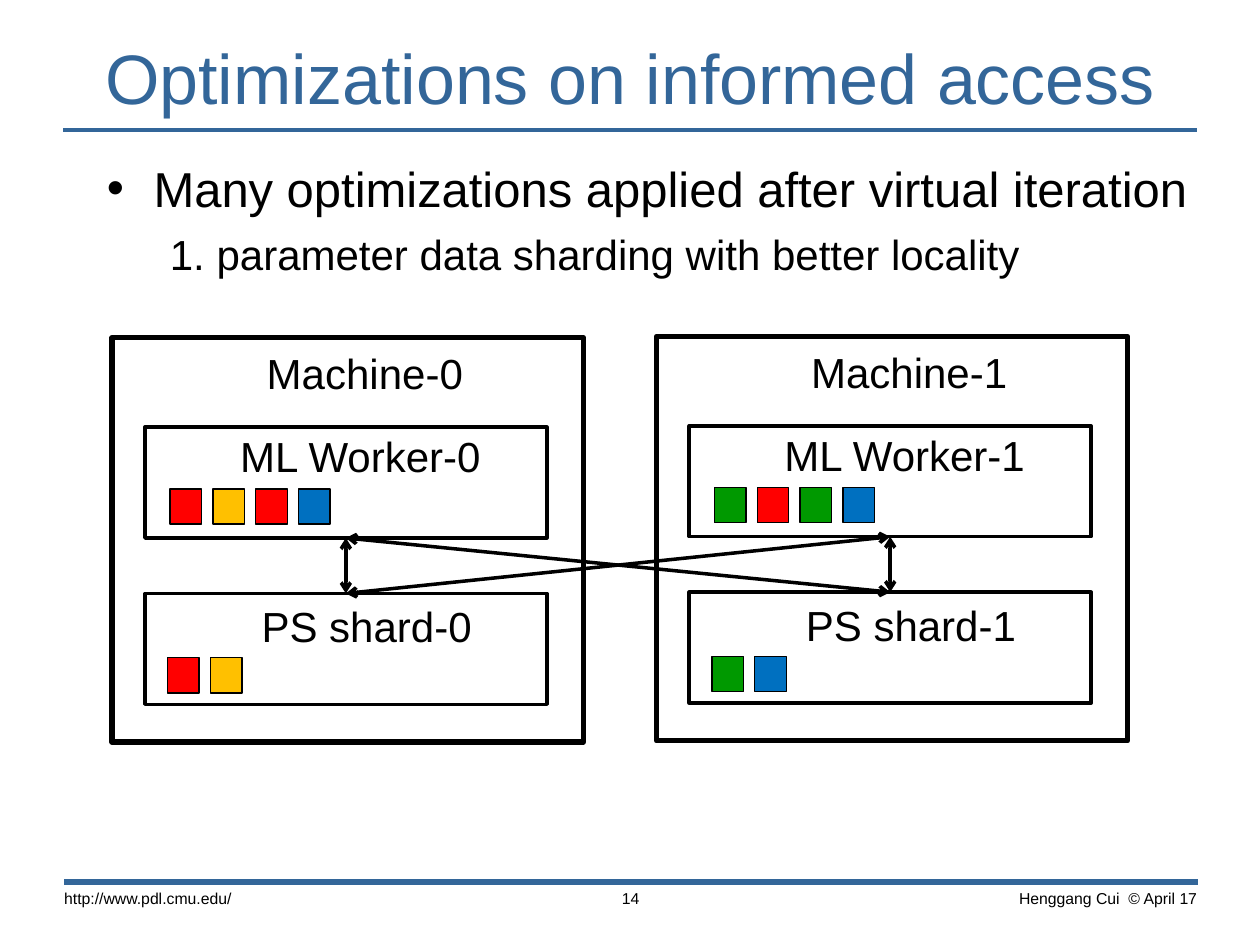
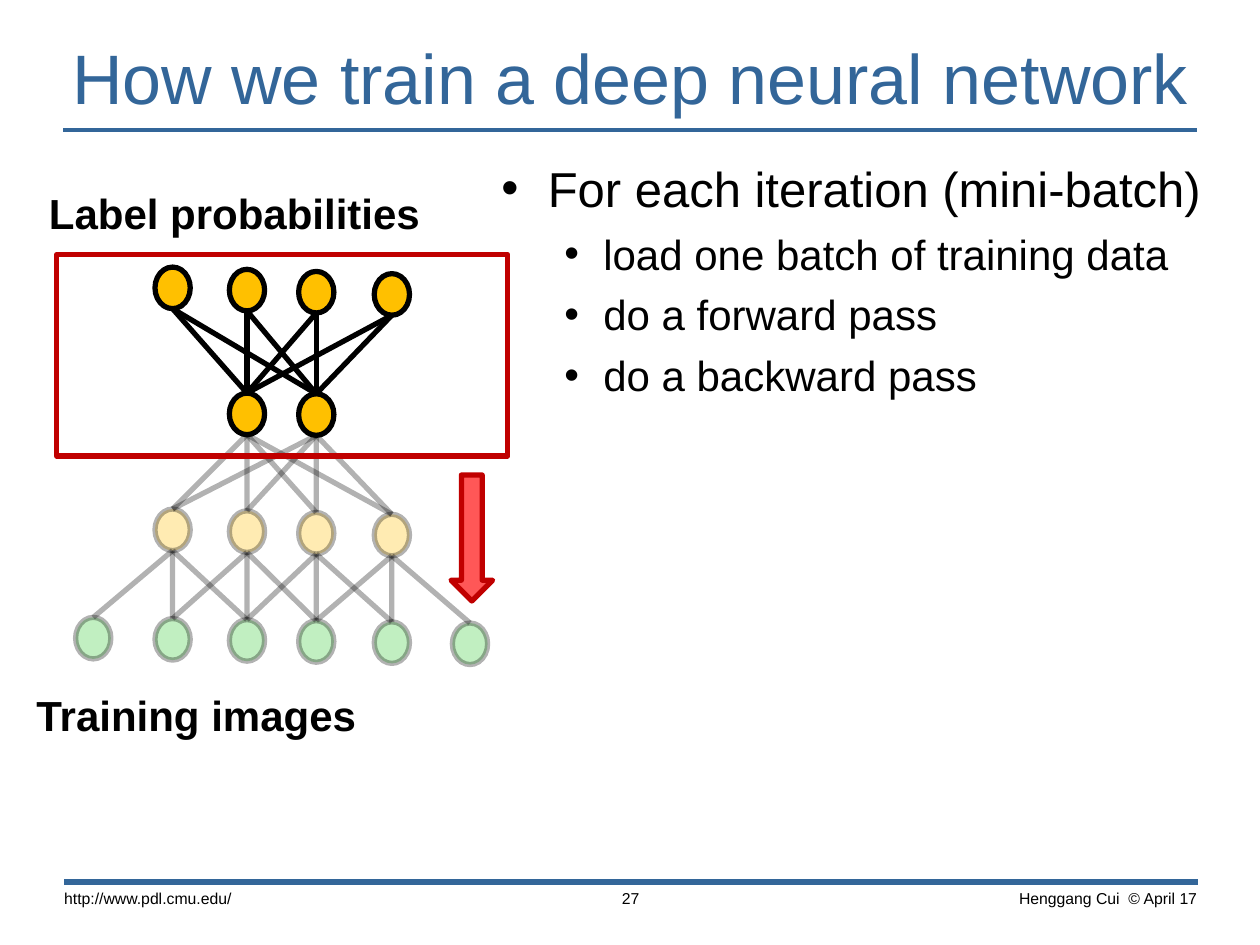
from itertools import product

from lxml import etree
from pptx import Presentation
from pptx.dml.color import RGBColor
from pptx.enum import shapes, text
from pptx.oxml import ns
from pptx.util import Inches, Pt

FONT = "Arial"
BLACK, TITLE_BLUE, DARK_RED, PINK = "000000", "336699", "C00000", "FF5757"
RED, AMBER, GREEN, BLUE = "FF0000", "FFC000", "009900", "0070C0"
LEAF = "33CC33"
FADED = 30
LEFT, CENTER, RIGHT = text.PP_ALIGN.LEFT, text.PP_ALIGN.CENTER, text.PP_ALIGN.RIGHT
RECT, OVAL = shapes.MSO_SHAPE.RECTANGLE, shapes.MSO_SHAPE.OVAL


def rgb(value):
    """Turn a hex string into a colour."""
    return RGBColor.from_string(value)


def add_xml(parent, tag, **attrs):
    """Append a drawing element to a parent element."""
    return etree.SubElement(parent, ns.qn(tag), **attrs)


def paint(fill, color, alpha=100):
    """Fill with one colour, at an opacity in percent."""
    fill.solid()
    fill.fore_color.rgb = rgb(color)
    if alpha < 100:
        clr = fill._xPr.find(".//" + ns.qn("a:srgbClr"))
        add_xml(clr, "a:alpha", val=str(alpha * 1000))


def add_shape(s, kind, x, y, w, h, fill=None, line=BLACK, width=3.0, alpha=100):
    """Add a preset shape with an outline and optional fill."""
    sp = s.shapes.add_shape(kind, Inches(x), Inches(y), Inches(w), Inches(h))
    sp.shadow.inherit = False
    if fill:
        paint(sp.fill, fill, alpha)
    else:
        sp.fill.background()
    sp.line.width = Pt(width)
    paint(sp.line.fill, line, alpha)
    add_xml(sp.line._get_or_add_ln(), "a:round")
    return sp


def add_line(s, start, end, color=BLACK, width=3.0, alpha=100, arrows=False):
    """Add a straight connector, optionally with arrowheads at both ends."""
    cxn = s.shapes.add_connector(
        shapes.MSO_CONNECTOR.STRAIGHT, *(Inches(v) for v in (*start, *end)))
    cxn.line.width = Pt(width)
    paint(cxn.line.fill, color, alpha)
    if arrows:
        for tag in ("a:headEnd", "a:tailEnd"):
            add_xml(cxn.line._get_or_add_ln(), tag, type="arrow")
    add_xml(cxn._element.spPr, "a:effectLst")
    return cxn


def add_frame(s, x, y, w, h, inset=(0.1, 0.05)):
    """Add an empty wrapping text box and return its text frame."""
    tf = s.shapes.add_textbox(Inches(x), Inches(y), Inches(w), Inches(h)).text_frame
    tf.word_wrap = True
    tf.margin_left = tf.margin_right = Inches(inset[0])
    tf.margin_top = tf.margin_bottom = Inches(inset[1])
    return tf


def style(p, size, color=BLACK, bold=False, align=LEFT):
    """Format a paragraph and its runs."""
    p.alignment = align
    for r in p.runs:
        r.font.name, r.font.size, r.font.bold = FONT, Pt(size), bold
        r.font.color.rgb = rgb(color)


def add_label(s, words, x, y, w, h=0.5, size=24, inset=(0.1, 0.05), **look):
    """Add a one-paragraph text box."""
    tf = add_frame(s, x, y, w, h, inset)
    tf.text = words
    style(tf.paragraphs[0], size, **look)
    return tf


def add_base(prs, title, number):
    """Add a slide with the title, rules and footer."""
    s = prs.slides.add_slide(prs.slide_layouts[6])
    add_line(s, (0.5, 1.03), (9.5, 1.03), TITLE_BLUE, 2)
    add_line(s, (0.51, 7), (9.51, 7), TITLE_BLUE, 3.5)
    tf = add_label(s, title, 0, 0.23, 10, 0.75, 40, color=TITLE_BLUE, align=CENTER)
    tf.vertical_anchor = text.MSO_ANCHOR.MIDDLE
    footers = [("http://www.pdl.cmu.edu/", 0.4, 2.5, LEFT),
               (str(number), 4.03, 1.95, CENTER),
               ("Henggang Cui  © April 17", 7.07, 2.54, RIGHT)]
    for words, x, w, align in footers:
        add_label(s, words, x, 6.99, w, 0.42, 9, (0.11, 0.06), align=align)
    return s


def add_body(s, x, w, heading, items, bulleted=True):
    """Add a bulleted heading followed by second-level items."""
    tf = add_frame(s, x, 1.21, w, 5.08)
    item_indent = (0.81, -0.31) if bulleted else (0.5, 0)
    rows = [(heading, 0, 28, (0.37, -0.37), True)]
    rows += [(item, 1, 24, item_indent, bulleted) for item in items]
    for i, (words, level, size, (margin, hang), bullet) in enumerate(rows):
        p = tf.add_paragraph() if i else tf.paragraphs[0]
        p.text, p.level = words, level
        if i:
            p.space_before = Pt(6)
        pPr = p._p.get_or_add_pPr()
        pPr.set("marL", str(Inches(margin)))
        pPr.set("indent", str(Inches(hang)))
        if bullet:
            add_xml(pPr, "a:buFont", typeface=FONT)
            add_xml(pPr, "a:buChar", char="•")
        else:
            add_xml(pPr, "a:buNone")
        style(p, size)


def add_machine(s, x, y, index, worker_data, shard_data):
    """Draw one machine and return its worker and shard boxes."""
    add_shape(s, RECT, x, y, 3.74, 3.21)
    add_label(s, f"Machine-{index}", x + 0.16, y + 0.03, 3.69, align=CENTER)
    parts = [("ML Worker", 0.71, 0.69, 0.7, 0.46, 1.2, worker_data),
             ("PS shard", 2.03, 2.04, 0.75, 0.44, 2.54, shard_data)]
    boxes = []
    for name, top, label_top, label_left, data_left, data_top, data in parts:
        boxes.append(add_shape(s, RECT, x + 0.26, y + top, 3.19, 0.88, width=2))
        add_label(s, f"{name}-{index}", x + label_left, y + label_top, 2.54, align=CENTER)
        for i, color in enumerate(data):
            add_shape(s, RECT, x + data_left + 0.34 * i, y + data_top,
                      0.25, 0.28, color, width=0.75)
    return boxes


def sharding_slide(prs):
    """Build the slide on parameter data sharding."""
    s = add_base(prs, "Optimizations on informed access", 14)
    add_body(s, 0.75, 9.25, "Many optimizations applied after virtual iteration",
             ["1. parameter data sharding with better locality"], bulleted=False)
    machines = [
        add_machine(s, 0.89, 2.68, 0, [RED, AMBER, RED, BLUE], [RED, AMBER]),
        add_machine(s, 5.21, 2.67, 1, [GREEN, RED, GREEN, BLUE], [GREEN, BLUE])]
    workers, shards = zip(*machines)
    for worker, shard in product(workers, shards):
        cxn = add_line(s, (0, 0), (1, 1), width=2, arrows=True)
        cxn.begin_connect(worker, 2)
        cxn.end_connect(shard, 0)


def add_layer(s, x, y, centers, slope, color, alpha=100):
    """Draw a row of neurons and return their top centres."""
    w, h = 0.28, 0.33
    tops = [(x + c, y + slope * (c - centers[0])) for c in centers]
    for cx, top in tops:
        add_shape(s, OVAL, cx - w / 2, top, w, h, color, alpha=alpha)
    return tops


def link_layers(s, upper, lower, alpha=100, reach=None):
    """Link neurons of two layers, within a reach or all to all."""
    for (i, (ux, uy)), (j, (lx, ly)) in product(enumerate(upper), enumerate(lower)):
        if reach is None or 0 <= j - i < reach:
            add_line(s, (ux, uy + 0.33), (lx, ly), alpha=alpha)


def add_network(s, x, y):
    """Draw the network, its highlighted part and the pass arrow."""
    columns = [0.29, 0.92, 1.51, 2.06, 2.66, 3.28]
    images = add_layer(s, x, y + 2.88, columns, 0.015, LEAF, FADED)
    features = add_layer(s, x, y + 2.02, columns[1:5], 0.024, AMBER, FADED)
    link_layers(s, features, images, FADED, reach=3)
    hidden = add_layer(s, x, y + 1.1, columns[2:4], 0.01, AMBER)
    link_layers(s, hidden, features, FADED)
    labels = add_layer(s, x, y + 0.1, columns[1:5], 0.03, AMBER)
    link_layers(s, labels, hidden)
    add_shape(s, RECT, x, y, 3.58, 1.6, line=DARK_RED)
    add_label(s, "Label probabilities", x - 0.16, y - 0.58, 3.42, bold=True)
    add_label(s, "Training images", x - 0.26, y + 3.4, 3.42, bold=True)
    add_shape(s, shapes.MSO_SHAPE.DOWN_ARROW, x + 3.13, y + 1.75, 0.33, 1, PINK, DARK_RED)


def training_slide(prs):
    """Build the slide on training a deep neural network."""
    s = add_base(prs, "How we train a deep neural network", 27)
    add_body(s, 3.88, 6.12, "For each iteration (mini-batch)",
             ["load one batch of training data", "do a forward pass", "do a backward pass"])
    add_network(s, 0.45, 2.02)


def main():
    """Build and save the presentation."""
    prs = Presentation()
    prs.slide_width, prs.slide_height = Inches(10), Inches(7.5)
    sharding_slide(prs)
    training_slide(prs)
    prs.save("out.pptx")


if __name__ == "__main__":
    main()
